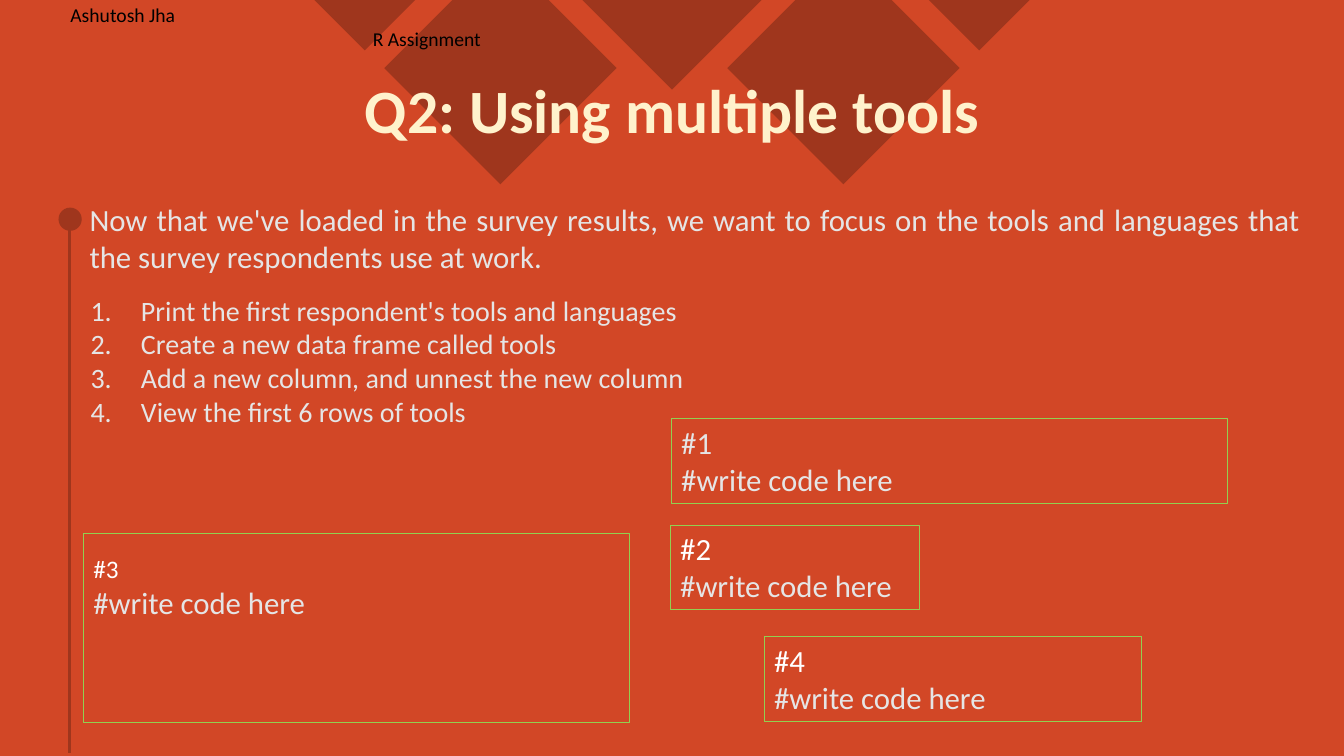
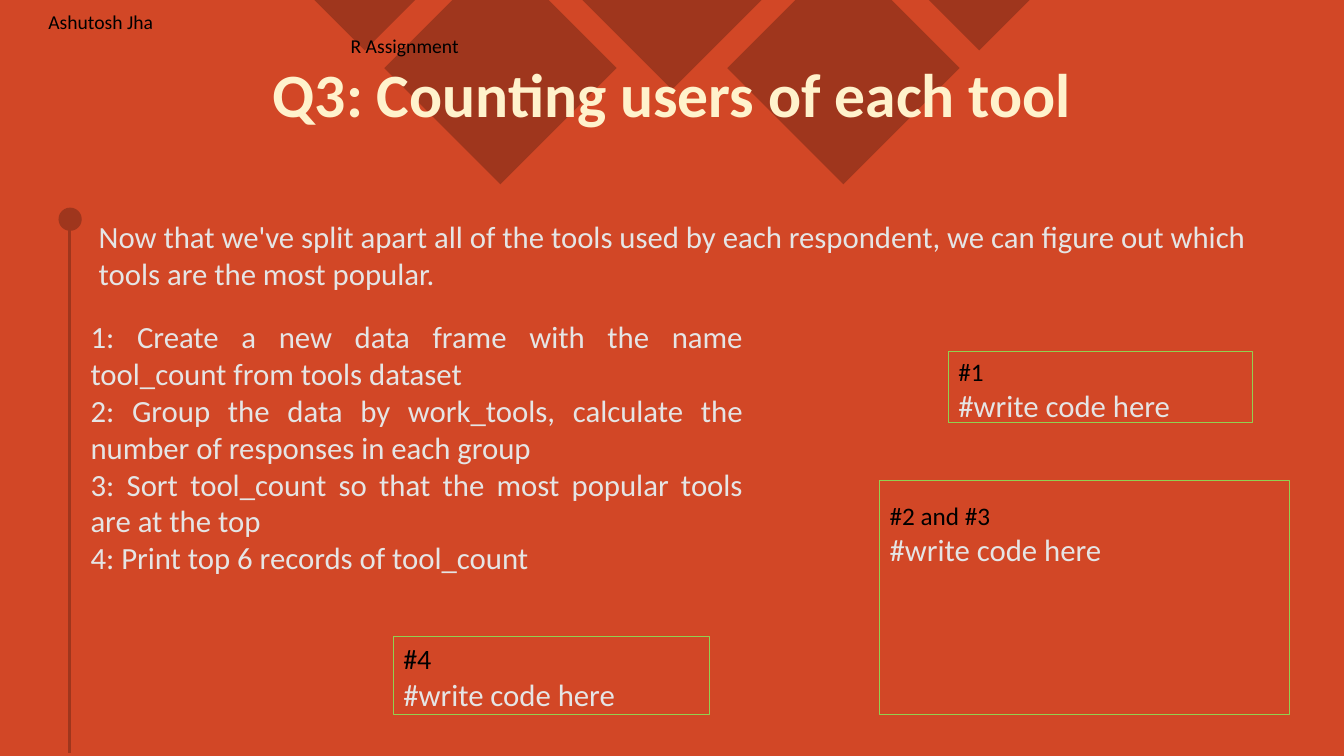
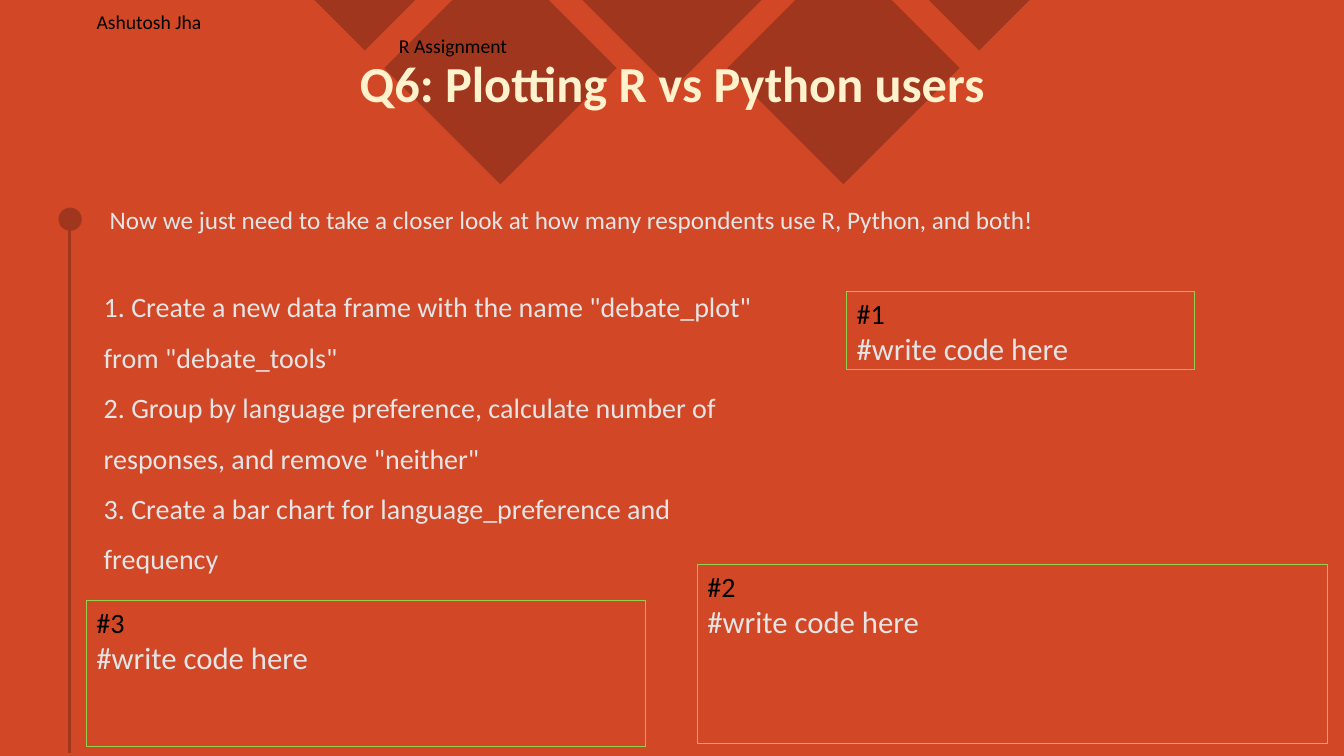
from lxml.etree import SubElement
from pptx import Presentation
from pptx.dml.color import RGBColor
from pptx.enum.shapes import MSO_CONNECTOR, MSO_SHAPE
from pptx.enum.text import MSO_ANCHOR, PP_ALIGN
from pptx.oxml.ns import qn
from pptx.util import Pt

WIDE, HIGH = 960, 540
HUES = {
    "back": "D24726",
    "dark": "9F361D",
    "title": "FFF2CC",
    "body": "E5E5E5",
    "code": "92D050",
    "white": "FFFFFF",
    "black": "000000",
}
TITLE = {"alignment": PP_ALIGN.CENTER, "line_spacing": 0.9}
JUST = {"alignment": PP_ALIGN.JUSTIFY}
LOOSE = {"line_spacing": 1.5}


def tint(name):
    return RGBColor.from_string(HUES[name])


def apply(item, form):
    for key, value in form.items():
        setattr(item, key, value)


def points(*spot):
    return [Pt(value) for value in spot]


def paint(shape, hue):
    shape.shadow.inherit = False
    shape.fill.solid()
    shape.fill.fore_color.rgb = tint(hue)
    shape.line.fill.background()


def write(frame, text, hue, size, form=None, bold=False):
    para = frame.paragraphs[0]
    if para.runs:
        para = frame.add_paragraph()
    apply(para, form or {})
    run = para.add_run()
    run.text = text
    apply(run.font, {"name": "Calibri", "size": Pt(size), "bold": bold})
    run.font.color.rgb = tint(hue)
    return para


def indent(para, left, first=0):
    props = para._p.get_or_add_pPr()
    props.set("marL", str(Pt(left)))
    props.set("indent", str(Pt(first)))
    return props


def number(para):
    props = indent(para, 36, -36)
    SubElement(props, qn("a:buFont"), typeface="+mj-lt")
    SubElement(props, qn("a:buAutoNum"), type="arabicPeriod")


def frame(slide, spot, anchor=MSO_ANCHOR.TOP):
    area = slide.shapes.add_textbox(*points(*spot)).text_frame
    apply(area, {"word_wrap": True, "vertical_anchor": anchor})
    return area


def block(slide, spot, lines, size, form=None):
    area = frame(slide, spot)
    return [write(area, line, "body", size, form) for line in lines]


def code(slide, spot, label, hue, size, form=None):
    shape = slide.shapes.add_shape(MSO_SHAPE.RECTANGLE, *points(*spot))
    shape.shadow.inherit = False
    shape.fill.background()
    shape.line.color.rgb = tint("code")
    shape.line.width = Pt(0.75)
    area = shape.text_frame
    apply(area, {"word_wrap": True, "vertical_anchor": MSO_ANCHOR.TOP})
    left = {"alignment": PP_ALIGN.LEFT}
    write(area, label, hue, size, {**left, **(form or {})})
    write(area, "#write code here", "body", 22, left)


def diamond(slide, mid, level, reach):
    half = reach - abs(level)
    edge = [(mid + half, 0), (mid, level + reach)]
    if level > 0:
        edge.insert(1, (mid + reach, level))
        edge.append((mid - reach, level))
    pen = slide.shapes.build_freeform(Pt(mid - half), 0)
    pen.add_line_segments([points(*spot) for spot in edge])
    paint(pen.convert_to_shape(), "dark")


def decor(slide):
    diamond(slide, WIDE / 2, 0, 64)
    for side in (-1, 1):
        diamond(slide, WIDE / 2 + side * 122.5, 48.6, 83)
        diamond(slide, WIDE / 2 + side * 219.5, 0, 36)
    line = slide.shapes.add_connector(
        MSO_CONNECTOR.STRAIGHT, *points(49.7, 155, 49.7, 538))
    line.line.color.rgb = tint("dark")
    line.line.width = Pt(2.25)
    SubElement(line._element.spPr, qn("a:effectLst"))
    dot = slide.shapes.add_shape(MSO_SHAPE.OVAL, *points(41.8, 148.3, 16.6, 16.6))
    paint(dot, "dark")


def header(slide, left, top):
    area = frame(slide, (left, top, 862, 33))
    apply(area, {"margin_top": Pt(7.2), "margin_bottom": Pt(7.2)})
    write(area, "Ashutosh Jha", "black", 14)
    indent(write(area, "R Assignment", "black", 14), 216)


def start(deck, title, depth, size=44):
    slide = deck.slides.add_slide(deck.slide_layouts[6])
    decor(slide)
    area = frame(slide, (16.6, 28.8, 927.4, depth), MSO_ANCHOR.MIDDLE)
    write(area, title, "title", size, TITLE, True)
    return slide


def tools(deck):
    slide = start(deck, "Q2: Using multiple tools", 104.4)
    block(slide, (56.9, 139.7, 879, 60.5), [
        "Now that we've loaded in the survey results, we want to focus on the "
        "tools and languages that the survey respondents use at work."], 22, JUST)
    steps = block(slide, (57.6, 206, 476, 104.4), [
        "Print the first respondent's tools and languages",
        "Create a new data frame called tools",
        "Add a new column, and unnest the new column",
        "View the first 6 rows of tools"], 20)
    for step in steps:
        number(step)
    code(slide, (479.5, 299, 397.5, 60.5), "#1", "body", 22)
    code(slide, (478.8, 375.2, 178, 60.5), "#2", "white", 22)
    code(slide, (59.6, 381.2, 390.2, 134.8), "#3", "white", 18, LOOSE)
    code(slide, (545.8, 454.8, 269.3, 60.5), "#4", "white", 22)
    header(slide, 43.2, -5)


def count(deck):
    slide = start(deck, "Q3: Counting users of each tool", 82)
    block(slide, (63.4, 152, 860.4, 60.5), [
        "Now that we've split apart all of the tools used by each respondent, "
        "we can figure out which tools are the most popular."], 22)
    block(slide, (57.6, 223.2, 480.2, 193.7), [
        "1: Create a new data frame with the name tool_count from tools dataset",
        "2: Group the data by work_tools, calculate the number of responses in each group",
        "3: Sort tool_count so that the most popular tools are at the top",
        "4: Print top 6 records of tool_count"], 22, JUST)
    code(slide, (677.5, 251, 217.4, 51.1), "#1", "black", 18)
    code(slide, (628.4, 343.2, 293, 167.2), "#2 and #3", "black", 18, LOOSE)
    code(slide, (281, 454.8, 225.8, 55.4), "#4", "black", 20)
    header(slide, 27.4, 0)


def plot(deck):
    slide = start(deck, "Q6: Plotting R vs Python users", 66.2, 36)
    block(slide, (71.3, 142.6, 823.7, 29), [
        "Now we just need to take a closer look at how many respondents use "
        "R, Python, and both!"], 18)
    block(slide, (67, 191.5, 480.2, 221.8), [
        '1. Create a new data frame with the name "debate_plot" from "debate_tools"',
        '2. Group by language preference, calculate number of responses, and remove "neither"',
        "3. Create a bar chart for language_preference and frequency"], 20, LOOSE)
    code(slide, (604.8, 208.1, 248.2, 55.6), "#1", "black", 20)
    code(slide, (498.2, 403.2, 450, 128), "#2", "black", 20)
    code(slide, (61.8, 429, 399, 104.2), "#3", "black", 20)
    header(slide, 61.9, 0)


def main():
    deck = Presentation()
    apply(deck, {"slide_width": Pt(WIDE), "slide_height": Pt(HIGH)})
    fill = deck.slide_master.background.fill
    fill.solid()
    fill.fore_color.rgb = tint("back")
    for build in (tools, count, plot):
        build(deck)
    deck.save("out.pptx")


if __name__ == "__main__":
    main()
